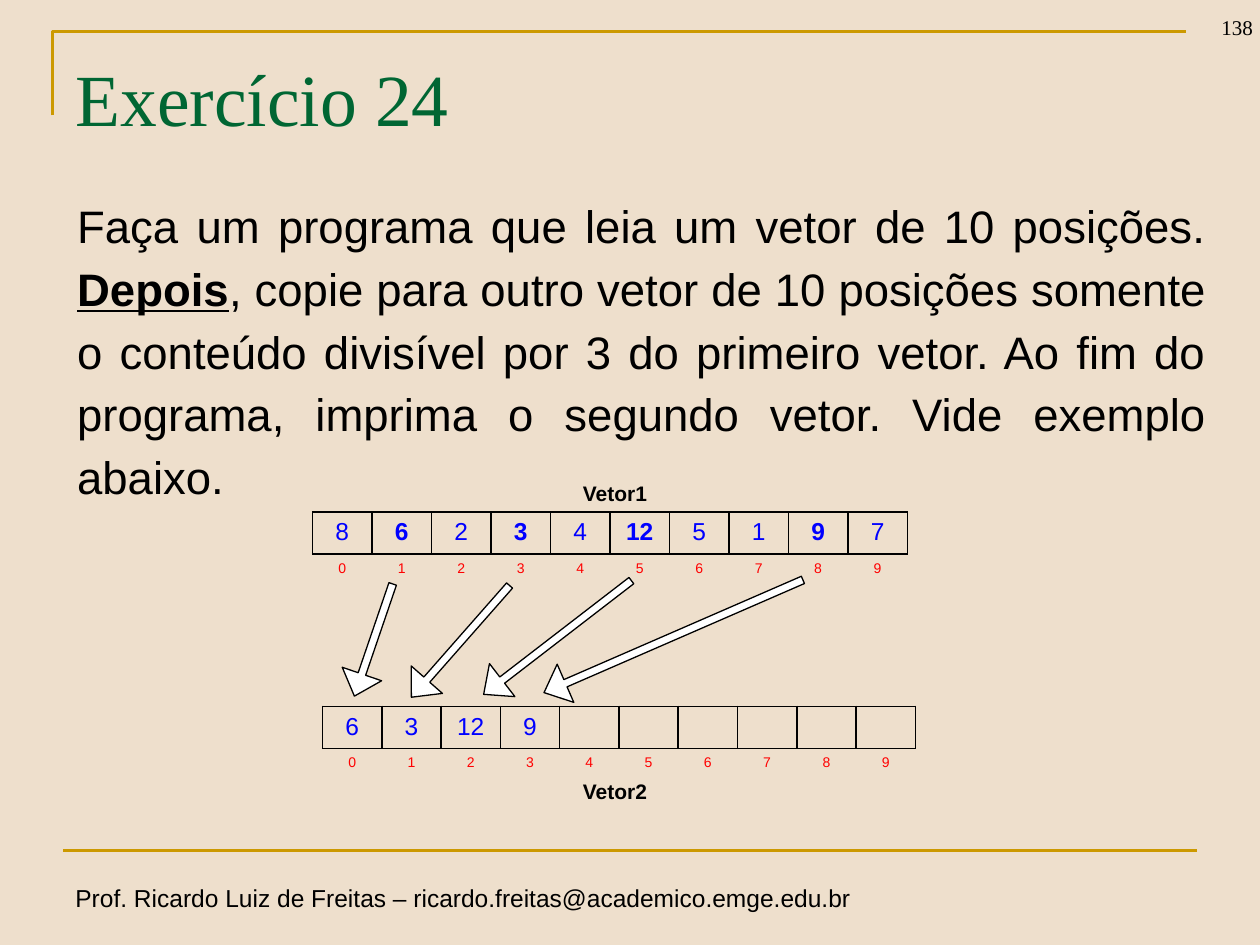
from math import atan2, degrees, hypot
from lxml.etree import SubElement
from pptx import Presentation
from pptx.dml.color import RGBColor
from pptx.enum.shapes import MSO_CONNECTOR as Conn, MSO_SHAPE as Shape
from pptx.enum.text import MSO_ANCHOR as Anchor, MSO_AUTO_SIZE as Auto, PP_ALIGN as Align
from pptx.oxml.ns import qn
from pptx.util import Pt

INK = {"back": "EEDFCC", "gold": "CC9900", "title": "006633", "text": "000000",
       "value": "0000FF", "index": "FF0000", "arrow": "FFFFFF"}
SANS, SERIF = "Arial", "Times New Roman"


def color(name):
    return RGBColor.from_string(INK[name])


def style(font, size, ink="text", face=SANS, bold=False):
    font.name, font.size, font.bold = face, Pt(size), bold
    font.color.rgb = color(ink)


def outline(line, ink, width):
    line.color.rgb = color(ink)
    line.width = Pt(width)


def label(slide, box, text, size, face=SANS, bold=False, align=Align.LEFT,
          anchor=Anchor.TOP, wrap=False):
    frame = slide.shapes.add_textbox(*map(Pt, box)).text_frame
    frame.word_wrap, frame.vertical_anchor = wrap, anchor
    para = frame.paragraphs[0]
    para.text, para.alignment = text, align
    style(para.font, size, face=face, bold=bold)


def frame_lines(slide):
    # Corner rule at the top left, and rule above the footer
    pen = slide.shapes.build_freeform(Pt(30), Pt(66), scale=1.0)
    pen.add_line_segments([(Pt(30), Pt(18)), (Pt(678), Pt(18))], close=False)
    corner = pen.convert_to_shape()
    corner.shadow.inherit = False
    corner.fill.background()
    outline(corner.line, "gold", 1.5)
    rule = slide.shapes.add_connector(Conn.STRAIGHT, Pt(36), Pt(486), Pt(684), Pt(486))
    SubElement(rule._element.spPr, qn("a:effectLst"))
    outline(rule.line, "gold", 1.5)


def heading(slide, box, text):
    title = slide.shapes.title
    title.left, title.top, title.width, title.height = map(Pt, box)
    frame = title.text_frame
    frame.auto_size, frame.vertical_anchor = Auto.NONE, Anchor.TOP
    frame.margin_top = Pt(8.5)
    para = frame.paragraphs[0]
    para.text, para.alignment = text, Align.LEFT
    style(para.font, 42, "title", SERIF)


def task(slide, box, parts):
    frame = slide.shapes.add_textbox(*map(Pt, box)).text_frame
    frame.word_wrap = True
    para = frame.paragraphs[0]
    para.alignment, para.line_spacing = Align.JUSTIFY, 1.15
    for text, strong in parts:
        run = para.add_run()
        run.text = text
        style(run.font, 26, bold=strong)
        run.font.underline = strong


def borders(cell, shown):
    props = cell._tc.get_or_add_tcPr()
    for side in "LRTB":
        edge = SubElement(props, qn("a:ln" + side), w=str(Pt(1)))
        if side in shown:
            fill = SubElement(edge, qn("a:solidFill"))
            SubElement(fill, qn("a:srgbClr"), val=INK["text"])
        else:
            SubElement(edge, qn("a:noFill"))


def fill_cell(cell, text, size, ink, bold, shown):
    borders(cell, shown)
    cell.fill.background()
    para = cell.text_frame.paragraphs[0]
    para.alignment = Align.CENTER
    if text:
        para.text = text
        style(para.font, size, ink, bold=bold)
    else:
        SubElement(para._p, qn("a:endParaRPr"), sz=str(size * 100))


def vector(slide, box, rows, values, strong=()):
    # Values in boxes, with their indexes below
    count = len(values)
    table = slide.shapes.add_table(2, count, *map(Pt, box)).table
    table.first_row = table.horz_banding = False
    for row, height in zip(table.rows, rows):
        row.height = Pt(height)
    for i, value in enumerate(values):
        table.columns[i].width = Pt(box[2] / count)
        fill_cell(table.cell(0, i), value, 14, "value", value in strong, "LRTB")
        fill_cell(table.cell(1, i), str(i), 8, "index", False, "T")


def arrow(slide, tail, tip, width=23.8):
    dx, dy = tail[0] - tip[0], tip[1] - tail[1]
    size = hypot(dx, dy)
    left = (tail[0] + tip[0] - width) / 2
    top = (tail[1] + tip[1] - size) / 2
    shape = slide.shapes.add_shape(Shape.DOWN_ARROW, *map(Pt, (left, top, width, size)))
    shape.rotation = degrees(atan2(dx, dy))
    shape.adjustments[0], shape.adjustments[1] = 0.19, 0.56
    shape.shadow.inherit = False
    shape.fill.solid()
    shape.fill.fore_color.rgb = color("arrow")
    outline(shape.line, "text", 0.75)


def main():
    deck = Presentation()
    deck.slide_width, deck.slide_height = Pt(720), Pt(540)
    slide = deck.slides.add_slide(deck.slide_layouts[5])
    slide.background.fill.solid()
    slide.background.fill.fore_color.rgb = color("back")

    # Frame, footer and page number
    frame_lines(slide)
    label(slide, (36, 501, 459, 24.5),
          "Prof. Ricardo Luiz de Freitas – ricardo.freitas@academico.emge.edu.br", 14)
    label(slide, (669, -10, 54, 36), "138", 12, SERIF, align=Align.RIGHT,
          anchor=Anchor.BOTTOM, wrap=True)

    # Title and task
    heading(slide, (36, 21.6, 648, 90), "Exercício 24")
    task(slide, (37, 105, 660, 167), [
        ("Faça um programa que leia um vetor de 10 posições. ", False),
        ("Depois", True),
        (", copie para outro vetor de 10 posições somente o conteúdo divisível por 3 "
         "do primeiro vetor. Ao fim do programa, imprima o segundo vetor. "
         "Vide exemplo abaixo.", False)])

    # Both vectors
    kept = ["6", "3", "12", "9"]
    first = ["8", "6", "2", "3", "4", "12", "5", "1", "9", "7"]
    vector(slide, (178.6, 292.5, 340, 46), (23.8, 21.6), first, kept)
    vector(slide, (184.3, 403.7, 339, 41), (24, 16.5), kept + [""] * 6)
    for text, top in (("Vetor1", 271), ("Vetor2", 441)):
        label(slide, (326, top, 52, 21.6), text, 12, bold=True, anchor=Anchor.MIDDLE)

    # Arrows from each kept value to its new place
    for tail, tip in (((224.4, 333.7), (202.5, 397.8)), ((291.2, 334.6), (235.1, 398.4)),
                      ((360.8, 331.8), (276.4, 396.8)), ((458.8, 331.4), (310.9, 395.8))):
        arrow(slide, tail, tip)

    deck.save("out.pptx")


if __name__ == "__main__":
    main()
